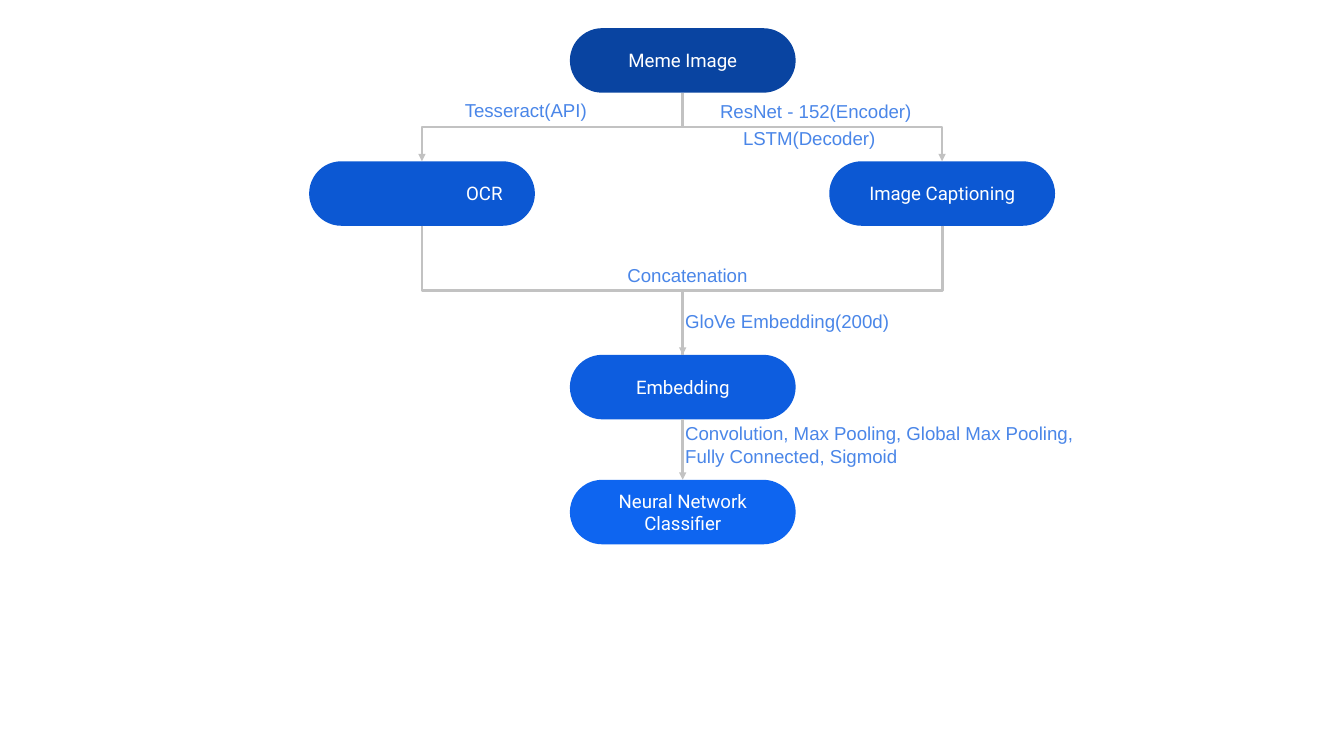
"""Build the meme classification flow slide."""
from dataclasses import dataclass

import pptx
import pptx.dml.color
import pptx.enum.shapes
import pptx.enum.text
import pptx.oxml.ns
import pptx.util
from lxml import etree

Inches = pptx.util.Inches
qn = pptx.oxml.ns.qn
LEFT, CENTER, RIGHT = 3.14, 5.08, 7.01
NODE_WIDTH, NODE_HEIGHT = 1.68, 0.48
WHITE, LABEL_BLUE, LINE_GRAY = "FFFFFF", "4A86E8", "C2C2C2"


@dataclass
class Node:
    text: str
    center: float
    top: float
    fill: str
    tab: float = 0


@dataclass
class Label:
    lines: tuple[str, ...]
    left: float
    top: float
    width: float
    height: float = 0.18


@dataclass
class Link:
    start: str
    end: str
    arrow: bool = True


NODES = {
    "image": Node("Meme Image", CENTER, 0.21, "0944A1"),
    "captioning": Node("Image Captioning", RIGHT, 1.2, "0C58D3"),
    "ocr": Node("\tOCR", LEFT, 1.2, "0C58D3", tab=1),
    "embedding": Node("Embedding", CENTER, 2.64, "0D5DDF"),
    "classifier": Node("Neural Network Classifier", CENTER, 3.57, "0E65F0"),
}
LINKS = [
    Link("image", "captioning"),
    Link("image", "ocr"),
    Link("ocr", "embedding"),
    Link("captioning", "embedding", arrow=False),
    Link("embedding", "classifier"),
]
LABELS = [
    Label(("ResNet - 152(Encoder)",), 5.26, 0.66, 1.94, 0.24),
    Label(("LSTM(Decoder)",), 5.43, 0.86, 1.22),
    Label(("Tesseract(API)",), 3.36, 0.65, 1.61),
    Label(("Concatenation",), 4.57, 1.88, 1.22),
    Label(("GloVe Embedding(200d)",), 5, 2.22, 1.8),
    Label(("Convolution, Max Pooling, Global Max Pooling,", "Fully Connected, Sigmoid"),
          5, 3.04, 3.9, 0.31),
]


def color(value: str) -> pptx.dml.color.RGBColor:
    return pptx.dml.color.RGBColor.from_string(value)


def write(shape, lines: tuple[str, ...], font: str, ink: str):
    frame = shape.text_frame
    frame.word_wrap = True
    frame.margin_left = frame.margin_right = Inches(0.1)
    frame.margin_top = frame.margin_bottom = Inches(0.1)
    para = frame.paragraphs[0]
    for index, line in enumerate(lines):
        if index:
            para.add_line_break()
        span = para.add_run()
        span.text = line
        span.font.name = font
        span.font.size = pptx.util.Pt(10)
        span.font.color.rgb = color(ink)
    return para


def draw_node(page, node: Node):
    box = page.shapes.add_shape(
        pptx.enum.shapes.MSO_SHAPE.ROUNDED_RECTANGLE,
        Inches(node.center - NODE_WIDTH / 2), Inches(node.top),
        Inches(NODE_WIDTH), Inches(NODE_HEIGHT))
    box.adjustments[0] = 0.5
    box.shadow.inherit = False
    box.fill.solid()
    box.fill.fore_color.rgb = color(node.fill)
    box.line.fill.background()
    box.text_frame.vertical_anchor = pptx.enum.text.MSO_ANCHOR.MIDDLE
    align = pptx.enum.text.PP_ALIGN
    para = write(box, (node.text,), "Roboto", WHITE)
    para.alignment = align.LEFT if node.tab else align.CENTER
    if node.tab:
        stops = etree.SubElement(para._p.get_or_add_pPr(), qn("a:tabLst"))
        etree.SubElement(stops, qn("a:tab"), pos=str(Inches(node.tab)), algn="l")
    return box


def turn_downward(connector, run: int, drop: int) -> None:
    """Rotate an elbow so that it leaves and arrives vertically."""
    middle_x = (connector.begin_x + connector.end_x) // 2
    middle_y = (connector.begin_y + connector.end_y) // 2
    frame = connector._element.spPr.find(qn("a:xfrm"))
    frame.attrib.clear()
    connector.left, connector.top = middle_x - drop // 2, middle_y - abs(run) // 2
    connector.width, connector.height = drop, abs(run)
    frame.set("rot", "16200000" if run > 0 else "5400000")
    if run > 0:
        frame.set("flipH", "1")


def draw_link(page, link: Link, boxes: dict) -> None:
    start, end = boxes[link.start], boxes[link.end]
    run = end.left - start.left
    drop = end.top - start.top - start.height
    kinds = pptx.enum.shapes.MSO_CONNECTOR
    connector = page.shapes.add_connector(kinds.ELBOW if run else kinds.STRAIGHT, 0, 0, 0, 0)
    connector.begin_connect(start, 2)
    connector.end_connect(end, 0)
    if run:
        turn_downward(connector, run, drop)
    connector.line.color.rgb = color(LINE_GRAY)
    connector.line.width = pptx.util.Pt(1.5)
    properties = connector._element.spPr
    if link.arrow:
        stroke = properties.find(qn("a:ln"))
        etree.SubElement(stroke, qn("a:tailEnd"), type="triangle", w="sm", len="sm")
    etree.SubElement(properties, qn("a:effectLst"))


def draw_label(page, label: Label) -> None:
    box = page.shapes.add_textbox(
        Inches(label.left), Inches(label.top), Inches(label.width), Inches(label.height))
    write(box, label.lines, "Arial", LABEL_BLUE)


def main() -> None:
    deck = pptx.Presentation()
    deck.slide_width = Inches(10)
    deck.slide_height = deck.slide_width * 9 // 16
    page = deck.slides.add_slide(deck.slide_layouts[6])
    boxes = {name: draw_node(page, node) for name, node in NODES.items()}
    for link in LINKS:
        draw_link(page, link, boxes)
    for label in LABELS:
        draw_label(page, label)
    deck.save("out.pptx")


if __name__ == "__main__":
    main()
